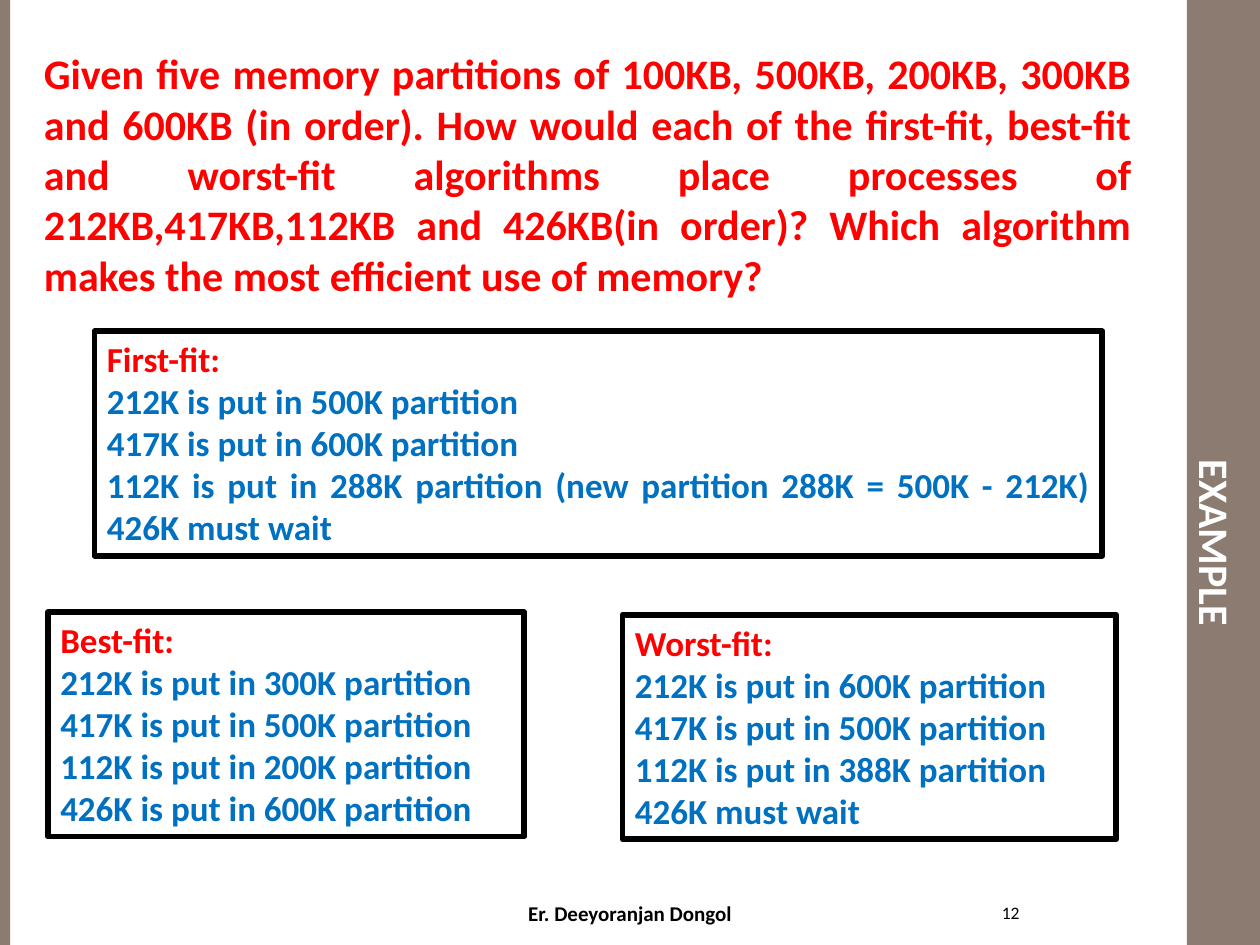
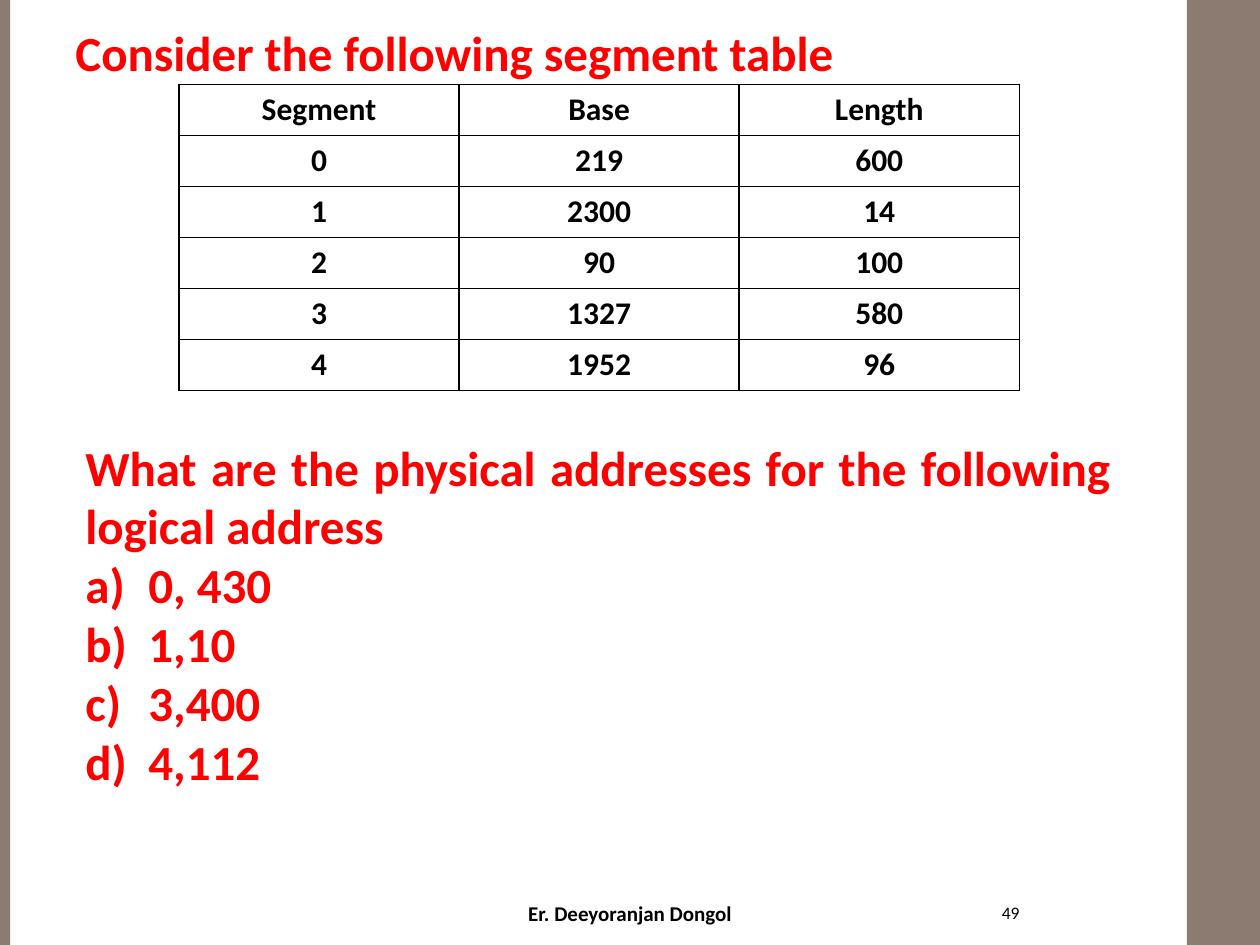
from dataclasses import dataclass

import pptx
import pptx.dml.color
import pptx.enum.shapes
import pptx.enum.text
import pptx.oxml
import pptx.oxml.ns
import pptx.util
from pptx.util import Inches

FONT = "Calibri"
COLORS = {"band": "8C7B70", "question": "FF0000", "answer": "0070C0",
          "ink": "000000", "paper": "FFFFFF"}
ALIGN = pptx.enum.text.PP_ALIGN
ANCHOR = pptx.enum.text.MSO_ANCHOR


@dataclass(frozen=True)
class Area:
    left: float
    top: float
    width: float
    height: float

    def emu(self) -> tuple:
        return tuple(Inches(v) for v in (self.left, self.top, self.width, self.height))


@dataclass(frozen=True)
class Fit:
    name: str
    area: Area
    placements: tuple[str, ...]


BANDS = (Area(9.42, 0, 0.58, 7.5), Area(0, 0, 0.08, 7.5))
AUTHOR_AREA = Area(2.96, 7.08, 4.08, 0.33)
NUMBER_AREA = Area(7.11, 7.08, 1.08, 0.33)

FITS = (
    Fit("First-fit:", Area(0.75, 2.63, 8, 1.78), (
        "212K is put in 500K partition",
        "417K is put in 600K partition",
        "112K is put in 288K partition (new partition 288K = 500K - 212K)\v426K must wait")),
    Fit("Best-fit:", Area(0.38, 4.86, 3.78, 1.78), (
        "212K is put in 300K partition",
        "417K is put in 500K partition",
        "112K is put in 200K partition",
        "426K is put in 600K partition")),
    Fit("Worst-fit:", Area(4.94, 4.88, 3.92, 1.78), (
        "212K is put in 600K partition",
        "417K is put in 500K partition",
        "112K is put in 388K partition",
        "426K must wait")),
)

SEGMENTS = (("Segment", "Base", "Length"), (0, 219, 600), (1, 2300, 14),
            (2, 90, 100), (3, 1327, 580), (4, 1952, 96))
LOGICAL_ADDRESSES = ("0, 430", "1,10", "3,400", "4,112")


def rgb(name: str) -> pptx.dml.color.RGBColor:
    return pptx.dml.color.RGBColor.from_string(COLORS[name])


def add_xml(parent, xml: str) -> None:
    tag, rest = xml.split(" ", 1)
    parent.append(pptx.oxml.parse_xml(f'{tag} {pptx.oxml.ns.nsdecls("a")} {rest}'))


def write(frame, text: str, *, size: float, color: str = "ink", bold: bool = True,
          align=ALIGN.JUSTIFY, indent: float = 0, hanging: float = 0,
          lettered: bool = False) -> None:
    """Put text in the first paragraph if it is free, else in a new one."""
    first = frame.paragraphs[0]
    paragraph = frame.add_paragraph() if first.text else first
    paragraph.text = text
    paragraph.alignment = align
    props = paragraph._p.get_or_add_pPr()
    if indent:
        props.set("marL", str(Inches(indent)))
        props.set("indent", str(-Inches(hanging)))
    if lettered:
        add_xml(props, f'<a:buFont typeface="{FONT}"/>')
        add_xml(props, '<a:buAutoNum type="alphaLcParenR"/>')
    for run in paragraph.runs:
        run.font.name, run.font.size, run.font.bold = FONT, pptx.util.Pt(size), bold
        run.font.color.rgb = rgb(color)


def add_frame(slide, area: Area, anchor=ANCHOR.TOP, grow: bool = False):
    frame = slide.shapes.add_textbox(*area.emu()).text_frame
    frame.word_wrap = True
    frame.vertical_anchor = anchor
    if grow:
        frame.auto_size = pptx.enum.text.MSO_AUTO_SIZE.SHAPE_TO_FIT_TEXT
    return frame


def add_rectangle(slide, area: Area, fill: str, line: float = 0):
    rectangle = slide.shapes.add_shape(
        pptx.enum.shapes.MSO_SHAPE.RECTANGLE, *area.emu())
    rectangle.shadow.inherit = False
    rectangle.fill.solid()
    rectangle.fill.fore_color.rgb = rgb(fill)
    if line:
        rectangle.line.color.rgb = rgb("ink")
        rectangle.line.width = pptx.util.Pt(line)
    else:
        rectangle.line.fill.background()
    return rectangle


def start_slide(deck, number: int):
    """Blank slide with side bands, author and slide number."""
    slide = deck.slides.add_slide(deck.slide_layouts[6])
    for band in BANDS:
        add_rectangle(slide, band, "band")
    write(add_frame(slide, AUTHOR_AREA, ANCHOR.MIDDLE), "Er. Deeyoranjan Dongol",
          size=12, align=ALIGN.CENTER)
    write(add_frame(slide, NUMBER_AREA, ANCHOR.MIDDLE), str(number),
          size=10, bold=False, align=ALIGN.RIGHT)
    return slide


def add_fit(slide, fit: Fit) -> None:
    frame = add_rectangle(slide, fit.area, "paper", line=3.35).text_frame
    frame.word_wrap = True
    frame.vertical_anchor = ANCHOR.TOP
    frame.auto_size = pptx.enum.text.MSO_AUTO_SIZE.SHAPE_TO_FIT_TEXT
    write(frame, fit.name, size=20, color="question")
    for placement in fit.placements:
        write(frame, placement, size=20, color="answer")


def add_segment_table(slide, area: Area) -> None:
    table = slide.shapes.add_table(len(SEGMENTS), len(SEGMENTS[0]), *area.emu()).table
    table.first_row = table.horz_banding = False
    for row, values in enumerate(SEGMENTS):
        for column, value in enumerate(values):
            cell = table.cell(row, column)
            cell.vertical_anchor = ANCHOR.MIDDLE
            write(cell.text_frame, str(value), size=18, align=ALIGN.CENTER)
            props = cell._tc.get_or_add_tcPr()
            for side in ("lnL", "lnR", "lnT", "lnB"):
                add_xml(props, f'<a:{side} w="{pptx.util.Pt(1)}"><a:solidFill>'
                               f'<a:srgbClr val="{COLORS["ink"]}"/></a:solidFill></a:{side}>')
            cell.fill.solid()
            cell.fill.fore_color.rgb = rgb("paper")


def build_partition_slide(deck) -> None:
    slide = start_slide(deck, 12)
    # Title running down the right band
    title = add_frame(slide, Area(9.36, 0.42, 0.58, 6.42), ANCHOR.MIDDLE)
    title._txBody.bodyPr.set("vert", "vert")
    write(title, "EXAMPLE", size=24, color="paper", align=ALIGN.LEFT, indent=3.13)
    # Question and the three placements
    write(add_frame(slide, Area(0.25, 0.33, 8.83, 2.12), grow=True),
          "Given five memory partitions of 100KB, 500KB, 200KB, 300KB and 600KB "
          "(in order). How would each of the first-fit, best-fit and worst-fit "
          "algorithms place processes of 212KB,417KB,112KB and 426KB(in order)? "
          "Which algorithm makes the most efficient use of memory?",
          size=24, color="question")
    for fit in FITS:
        add_fit(slide, fit)


def build_segment_slide(deck) -> None:
    slide = start_slide(deck, 49)
    write(add_frame(slide, Area(0.5, 0.13, 8.75, 0.57), grow=True),
          "Consider the following segment table", size=28, color="question")
    add_segment_table(slide, Area(1.42, 0.67, 6.67, 2.43))
    # Question with lettered addresses
    question = add_frame(slide, Area(0.58, 3.42, 8.33, 2.93), grow=True)
    write(question, "What are the physical addresses for the following logical address",
          size=28, color="question")
    for address in LOGICAL_ADDRESSES:
        write(question, address, size=28, color="question",
              indent=0.5, hanging=0.5, lettered=True)


def main() -> None:
    deck = pptx.Presentation()
    deck.slide_width, deck.slide_height = Inches(10), Inches(7.5)
    build_partition_slide(deck)
    build_segment_slide(deck)
    deck.save("out.pptx")


if __name__ == "__main__":
    main()
